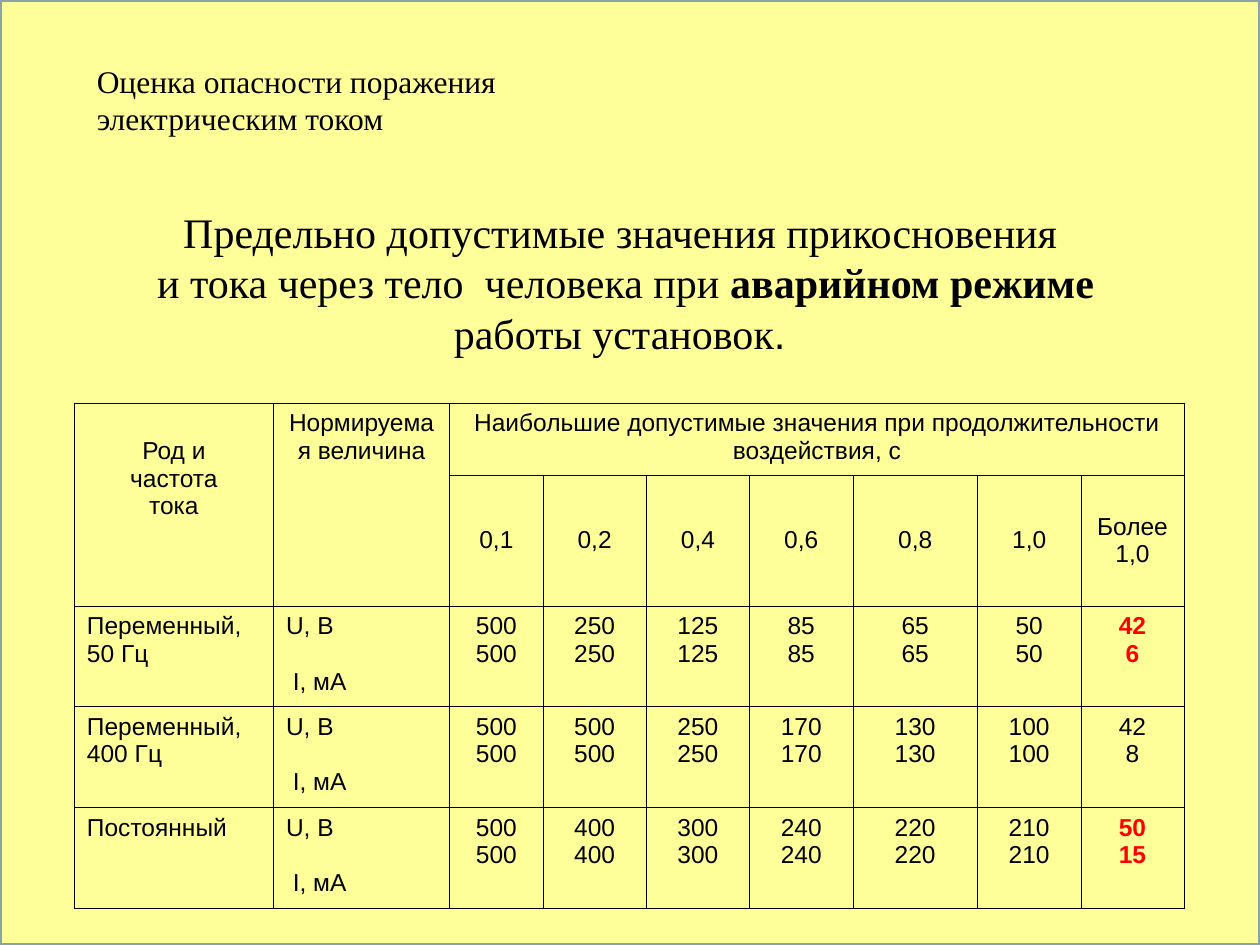
from lxml.etree import SubElement
from pptx import Presentation
from pptx.dml.color import RGBColor
from pptx.enum.shapes import MSO_SHAPE
from pptx.enum.text import MSO_ANCHOR, MSO_AUTO_SIZE, PP_ALIGN
from pptx.oxml.ns import qn
from pptx.util import Inches, Pt

BLACK, RED, YELLOW, FRAME = "000000", "FF0000", "FFFF99", "89A4A7"
SERIF, SANS = "Times New Roman", "Arial"
CENTER, JUSTIFY, LEFT = PP_ALIGN.CENTER, PP_ALIGN.JUSTIFY, PP_ALIGN.LEFT

TITLE = ["Оценка опасности поражения", "электрическим током"]
SUBTITLE = [
    "Предельно допустимые значения прикосновения ",
    [
        "и тока через тело  человека при ",
        ("аварийном режиме ", {"bold": True}),
        "работы установок",
        (". ", {"font": SANS}),
    ],
]
KIND_HEADER = ["Род и", "частота", "тока"]
QUANTITY_HEADER = ["Нормируемая величина"]
LIMITS_HEADER = ["Наибольшие допустимые значения при продолжительности воздействия, с"]
DURATIONS = [["0,1"], ["0,2"], ["0,4"], ["0,6"], ["0,8"], ["1,0"], ["Более", "1,0"]]
QUANTITIES = ["U, В", " I, мА"]
CURRENTS = [
    ("Переменный, 50 Гц", [500, 250, 125, 85, 65, 50], [42, 6], True, JUSTIFY),
    ("Переменный, 400 Гц", [500, 500, 250, 170, 130, 100], [42, 8], False, LEFT),
    ("Постоянный", [500, 400, 300, 240, 220, 210], [50, 15], True, LEFT),
]
COLUMN_WIDTHS = [1.58, 1.4, 0.74, 0.82, 0.82, 0.82, 0.99, 0.82, 0.82]
ROW_HEIGHTS = [0.57, 1.04, 0.8, 0.8, 0.8]
TABLE_LEFT, TABLE_TOP = 0.59, 3.2
TABLE_SIZE = 14
BLANK_LINE = 16


def color(value):
    return RGBColor.from_string(value)


def write(frame, lines, size=TABLE_SIZE, font=SANS, ink=BLACK, bold=False,
          align=CENTER, gap=0):
    for index, line in enumerate(lines):
        paragraph = frame.paragraphs[0] if index == 0 else frame.add_paragraph()
        paragraph.alignment = align
        if index and gap:
            paragraph.space_before = Pt(gap)
        for part in line if isinstance(line, list) else [line]:
            text, changes = part if isinstance(part, tuple) else (part, {})
            run = paragraph.add_run()
            run.text = text
            run.font.size = Pt(size)
            run.font.name = changes.get("font", font)
            run.font.bold = changes.get("bold", bold)
            run.font.color.rgb = color(ink)


def add_text(slide, box, lines, wrap, auto_size, **style):
    frame = slide.shapes.add_textbox(*map(Inches, box)).text_frame
    frame.word_wrap = wrap
    frame.auto_size = auto_size
    write(frame, lines, **style)


def style_cell(cell):
    properties = cell._tc.get_or_add_tcPr()
    for side in ("a:lnL", "a:lnR", "a:lnT", "a:lnB"):
        line = SubElement(properties, qn(side), w=str(Pt(0.45)))
        fill = SubElement(line, qn("a:solidFill"))
        SubElement(fill, qn("a:srgbClr"), val=BLACK)
    cell.fill.background()
    cell.margin_left = cell.margin_right = Inches(0.1)
    cell.margin_top = cell.margin_bottom = Inches(0.05)


def add_limits_table(slide):
    table = slide.shapes.add_table(
        len(ROW_HEIGHTS), len(COLUMN_WIDTHS), Inches(TABLE_LEFT), Inches(TABLE_TOP),
        Inches(sum(COLUMN_WIDTHS)), Inches(sum(ROW_HEIGHTS))).table
    table.first_row = table.horz_banding = False
    for column, width in zip(table.columns, COLUMN_WIDTHS):
        column.width = Inches(width)
    for row, height in zip(table.rows, ROW_HEIGHTS):
        row.height = Inches(height)
    for cell in table.iter_cells():
        style_cell(cell)

    headers = [
        ((0, 0), (1, 0), KIND_HEADER),
        ((0, 1), (1, 1), QUANTITY_HEADER),
        ((0, 2), (0, len(COLUMN_WIDTHS) - 1), LIMITS_HEADER),
    ]
    for start, end, lines in headers:
        table.cell(*start).merge(table.cell(*end))
        write(table.cell(*start).text_frame, lines)
    table.cell(0, 0).margin_top = Inches(0.05) + Pt(BLANK_LINE)

    for column, lines in enumerate(DURATIONS, 2):
        cell = table.cell(1, column)
        cell.vertical_anchor = MSO_ANCHOR.MIDDLE
        write(cell.text_frame, lines)

    for row, (kind, limits, long_limits, marked, align) in enumerate(CURRENTS, 2):
        write(table.cell(row, 0).text_frame, [kind], align=JUSTIFY)
        write(table.cell(row, 1).text_frame, QUANTITIES, align=align, gap=BLANK_LINE)
        for column, limit in enumerate(limits, 2):
            write(table.cell(row, column).text_frame, [str(limit)] * 2)
        write(table.cell(row, len(COLUMN_WIDTHS) - 1).text_frame,
              [str(limit) for limit in long_limits],
              ink=RED if marked else BLACK, bold=marked)


def main():
    presentation = Presentation()
    presentation.slide_width, presentation.slide_height = Inches(10), Inches(7.5)
    slide = presentation.slides.add_slide(presentation.slide_layouts[6])

    panel = slide.shapes.add_shape(
        MSO_SHAPE.RECTANGLE, 0, 0, presentation.slide_width, presentation.slide_height)
    panel.shadow.inherit = False
    panel.fill.solid()
    panel.fill.fore_color.rgb = color(YELLOW)
    panel.line.color.rgb = color(FRAME)
    panel.line.width = Pt(2)

    add_limits_table(slide)
    add_text(slide, (0.75, 1.59, 8.43, 1.3), SUBTITLE, True,
             MSO_AUTO_SIZE.SHAPE_TO_FIT_TEXT, size=24, font=SERIF)
    add_text(slide, (0.67, 0.44, 8.86, 1.18), TITLE, False,
             MSO_AUTO_SIZE.NONE, size=18, font=SERIF, align=LEFT)
    presentation.save("out.pptx")


if __name__ == "__main__":
    main()
